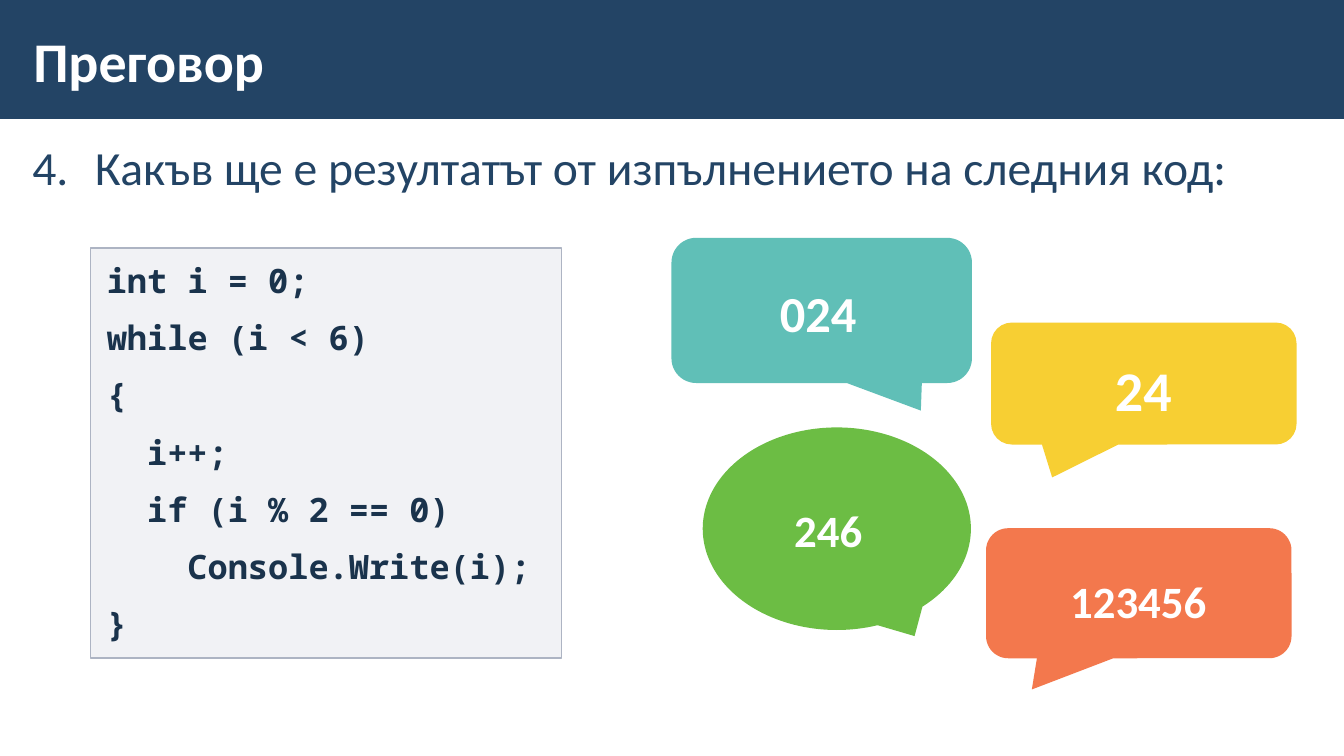
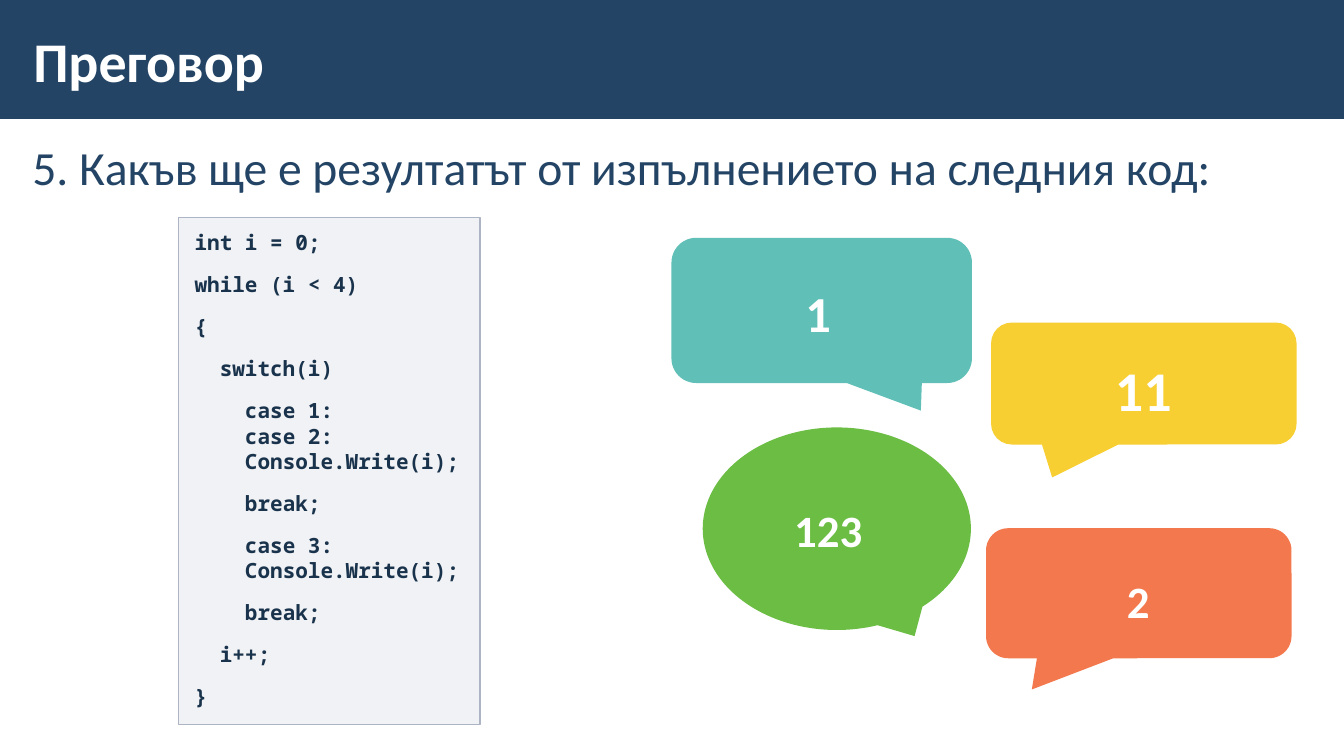
from lxml import etree
from pptx import Presentation
from pptx.dml.color import RGBColor
from pptx.enum.shapes import MSO_SHAPE
from pptx.enum.text import MSO_ANCHOR, PP_ALIGN
from pptx.oxml.ns import qn
from pptx.util import Inches, Pt

RECTANGLE = MSO_SHAPE.RECTANGLE
ROUND_CALLOUT = MSO_SHAPE.ROUNDED_RECTANGULAR_CALLOUT
OVAL_CALLOUT = MSO_SHAPE.OVAL_CALLOUT
TOP, MIDDLE = MSO_ANCHOR.TOP, MSO_ANCHOR.MIDDLE
LEFT, CENTER = PP_ALIGN.LEFT, PP_ALIGN.CENTER

COLORS = {
    "navy": "234465", "white": "FFFFFF", "code": "1A334C",
    "panel": "A3ABBC", "border": "ADB4C3",
    "green": "6CBD44", "yellow": "F5C300", "orange": "F15721", "teal": "60BFB7",
}
TEXT_FONT, CODE_FONT = "Calibri", "Noto Sans Mono"
TEXT_INSETS, BOX_INSETS = (0.12, 0.04), (0.16, 0.12)
CHARACTER_RATIO = 0.6  # width of a monospaced character to its size

# Callouts: kind, box, adjustments, colour, opacity, then the offset,
# size, font size and line spacing of the answer
CALLOUTS = [
    (OVAL_CALLOUT, (6.97, 4.24, 2.66, 2.01), (0.29, 0.53), "green", 100,
     (-0.14, 0.63, 2.77, 0.78), 32, 1.0),
    (ROUND_CALLOUT, (9.83, 3.2, 3.03, 1.21), (-0.3, 0.77, 0.17), "yellow", 80,
     (0.01, 0.14, 3, 0.94), 40, 1.1),
    (ROUND_CALLOUT, (9.78, 5.24, 3.03, 1.29), (-0.35, 0.74, 0.17), "orange", 80,
     (-0.03, 0.28, 3.08, 0.8), 32, 1.1),
    (ROUND_CALLOUT, (6.66, 2.36, 2.98, 1.44), (0.33, 0.69, 0.17), "teal", 100,
     (0.32, 0.26, 2.27, 0.87), 36, 1.1),
]

# Code paragraphs: indent level and text
FIRST_CODE = [
    (0, "int i = 0;"), (0, "while (i < 6)"), (0, "{"), (1, "i++;"),
    (1, "if (i % 2 == 0)"), (2, "Console.Write(i);"), (0, "}"),
]
SECOND_CODE = [
    (0, "int i = 0;"), (0, "while (i < 4)"), (0, "{"), (1, "switch(i)"),
    (2, "case 1:\ncase 2:\nConsole.Write(i);"), (2, "break;"),
    (2, "case 3:\nConsole.Write(i);"), (2, "break;"), (1, "i++;"), (0, "}"),
]
QUESTION = "Какъв ще е резултатът от изпълнението на следния код:"


def rgb(name):
    return RGBColor.from_string(COLORS[name])


def add_block(shapes, kind, box, color, opacity=100):
    shape = shapes.add_shape(kind, *map(Inches, box))
    shape.shadow.inherit = False
    shape.line.fill.background()
    shape.fill.solid()
    shape.fill.fore_color.rgb = rgb(color)
    if opacity < 100:
        fill_color = shape._element.spPr.find(qn("a:solidFill"))[0]
        etree.SubElement(fill_color, qn("a:alpha"), val=str(opacity * 1000))
    return shape


def set_frame(shape, insets, anchor=TOP):
    frame = shape.text_frame
    frame.word_wrap = True
    frame.vertical_anchor = anchor
    frame.margin_left = frame.margin_right = Inches(insets[0])
    frame.margin_top = frame.margin_bottom = Inches(insets[1])
    return frame


def set_paragraph(paragraph, text, size, color, font=TEXT_FONT, bold=True,
                  align=LEFT, spacing=1.0, gap=0):
    paragraph.text = text
    paragraph.alignment = align
    paragraph.line_spacing = spacing
    paragraph.space_before = paragraph.space_after = Pt(gap)
    paragraph.font.name = font
    paragraph.font.size = Pt(size)
    paragraph.font.bold = bold
    paragraph.font.color.rgb = rgb(color)


def add_text(shapes, box, text, size, color, insets, anchor=TOP, **style):
    text_box = shapes.add_textbox(*map(Inches, box))
    paragraph = set_frame(text_box, insets, anchor).paragraphs[0]
    set_paragraph(paragraph, text, size, color, **style)
    return paragraph


def add_title(slide, title):
    add_block(slide.shapes, RECTANGLE, (0, -0.02, 13.33, 1.2), "navy")
    add_text(slide.shapes, (0.21, 0.11, 10.39, 0.97), title, 40, "white",
             TEXT_INSETS, MIDDLE)


def add_question(slide, text, number=None):
    paragraph = add_text(slide.shapes, (0.2, 1.3, 12.91, 0.8), text, 34, "navy",
                         TEXT_INSETS, bold=False, spacing=1.05, gap=6)
    if number:
        properties = paragraph._p.get_or_add_pPr()
        properties.set("marL", str(Inches(0.62)))
        properties.set("indent", str(Inches(-0.62)))
        numbering = etree.Element(qn("a:buAutoNum"), type="arabicPeriod",
                                  startAt=str(number))
        properties.find(qn("a:defRPr")).addprevious(numbering)


def add_code(slide, box, lines, size):
    panel = add_block(slide.shapes, RECTANGLE, box, "panel", 15)
    panel.line.color.rgb = rgb("border")
    panel.line.width = Pt(1)
    frame = set_frame(panel, BOX_INSETS)
    for index, (level, text) in enumerate(lines):
        paragraph = frame.add_paragraph() if index else frame.paragraphs[0]
        set_paragraph(paragraph, text, size, "code", CODE_FONT, gap=6)
        # Each level is two characters wide
        indent = Pt(level * 2 * CHARACTER_RATIO * size)
        paragraph._p.get_or_add_pPr().set("marL", str(indent))


def add_callout(slide, answer, kind, box, adjustments, color, opacity,
                text_area, size, spacing):
    group = slide.shapes.add_group_shape()
    bubble = add_block(group.shapes, kind, box, color, opacity)
    for index, value in enumerate(adjustments):
        bubble.adjustments[index] = value
    left, top, width, height = text_area
    add_text(group.shapes, (box[0] + left, box[1] + top, width, height), answer,
             size, "white", BOX_INSETS, align=CENTER, spacing=spacing)


def add_quiz_slide(presentation, question, number, code_box, code, code_size, answers):
    slide = presentation.slides.add_slide(presentation.slide_layouts[6])
    add_title(slide, "Преговор")
    add_question(slide, question, number)
    add_code(slide, code_box, code, code_size)
    for answer, callout in zip(answers, CALLOUTS):
        add_callout(slide, answer, *callout)


def main():
    presentation = Presentation()
    presentation.slide_width = Inches(13.33)
    presentation.slide_height = Inches(7.5)
    add_quiz_slide(presentation, QUESTION, 4, (0.9, 2.46, 4.67, 4.07),
                   FIRST_CODE, 24, ("246", "24", "123456", "024"))
    add_quiz_slide(presentation, "5. " + QUESTION, None, (1.77, 2.16, 2.99, 5.03),
                   SECOND_CODE, 15, ("123", "11", "2", "1"))
    presentation.save("out.pptx")


if __name__ == "__main__":
    main()
